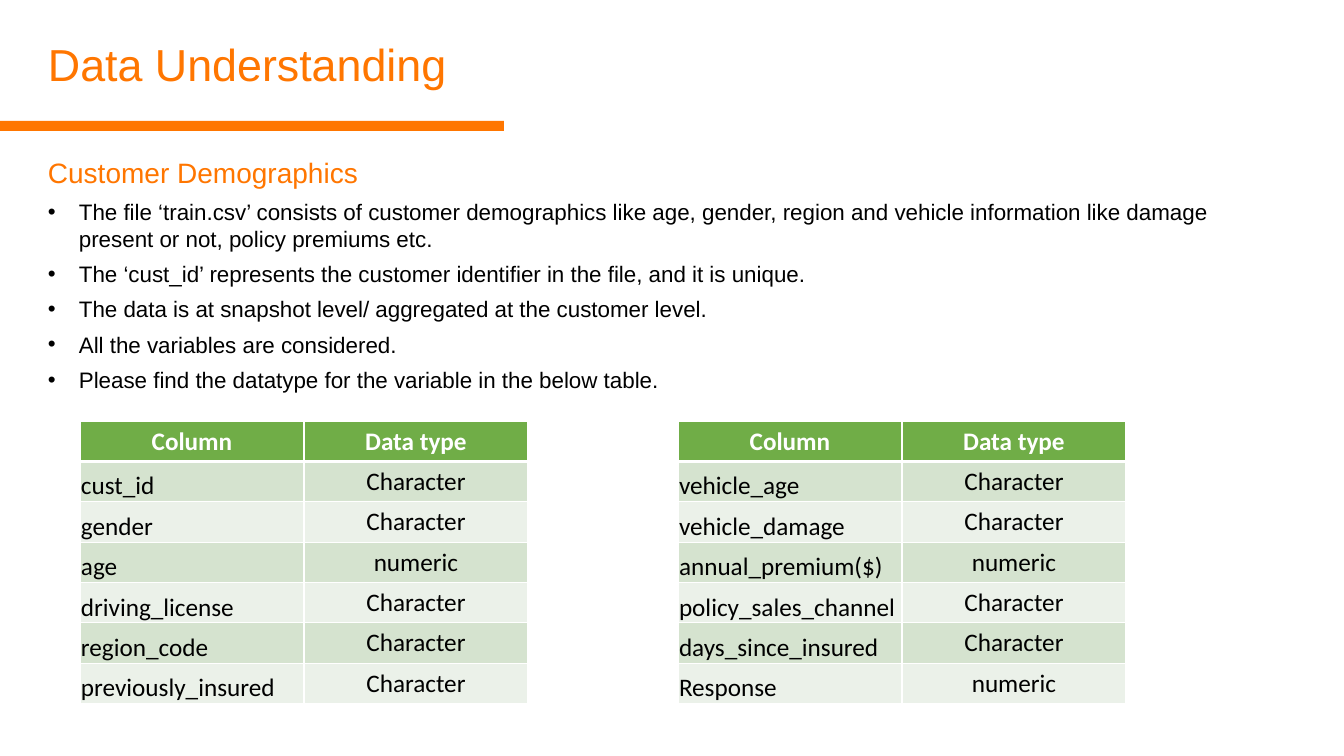
import pptx
import pptx.dml.color
import pptx.enum.shapes
import pptx.enum.text
import pptx.oxml.ns
import pptx.util
from dataclasses import dataclass
from lxml import etree

TITLE = "Data Understanding"
HEADING = "Customer Demographics"
BULLETS = [
    "The file ‘train.csv’ consists of customer demographics like age, gender, region "
    "and vehicle information like damage present or not, policy premiums etc.",
    "The ‘cust_id’ represents the customer identifier in the file, and it is unique.",
    "The data is at snapshot level/ aggregated at the customer level.",
    "All the variables are considered.",
    "Please find the datatype for the variable in the below table.",
]
HEADER = ("Column", "Data type")
VARIABLE_TABLES = [
    [
        ("cust_id", "Character"),
        ("gender", "Character"),
        ("age", "numeric"),
        ("driving_license", "Character"),
        ("region_code", "Character"),
        ("previously_insured", "Character"),
    ],
    [
        ("vehicle_age", "Character"),
        ("vehicle_damage", "Character"),
        ("annual_premium($)", "numeric"),
        ("policy_sales_channel", "Character"),
        ("days_since_insured", "Character"),
        ("Response", "numeric"),
    ],
]

SLIDE_SIZE = (1344, 756)
TITLE_BOX = (38, 32, 590, 64)
ACCENT_BAR = (0, 121, 504, 10)
BODY_BOX = (38, 151, 1237, 249)
BULLET_INDENT = 31
TABLE_LEFT, TABLE_TOP, TABLE_PITCH = 80, 421, 598
COLUMN_WIDTH, ROW_HEIGHT = 224, 40
NAME_MARGIN = 1
EMU_PER_PX = 914400 / 100.8


@dataclass(frozen=True)
class Theme:
    accent: str = "FF7600"
    text: str = "000000"
    white: str = "FFFFFF"
    header_fill: str = "70AD47"
    row_fills: tuple = ("D5E3CF", "EBF1E9")
    text_font: str = "Arial"
    table_font: str = "Calibri"
    title_size: int = 32
    heading_size: int = 20
    bullet_size: int = 16
    table_size: int = 18
    paragraph_gap: int = 6
    border: int = 1
    header_border: int = 3


THEME = Theme()


def px(length):
    return pptx.util.Emu(round(length * EMU_PER_PX))


def color(value):
    return pptx.dml.color.RGBColor.from_string(value)


def add_element(parent, tag, **attributes):
    return etree.SubElement(parent, pptx.oxml.ns.qn(tag), **attributes)


def format_runs(paragraph, font, size, value, bold=False):
    for run in paragraph.runs:
        run.font.name = font
        run.font.size = pptx.util.Pt(size)
        run.font.color.rgb = color(value)
        run.font.bold = bold


def add_text_frame(slide, box):
    text_frame = slide.shapes.add_textbox(*map(px, box)).text_frame
    text_frame.word_wrap = True
    text_frame.auto_size = pptx.enum.text.MSO_AUTO_SIZE.SHAPE_TO_FIT_TEXT
    return text_frame


def add_bullet(paragraph):
    properties = paragraph._p.get_or_add_pPr()
    properties.set("marL", str(px(BULLET_INDENT)))
    properties.set("indent", str(-px(BULLET_INDENT)))
    add_element(properties, "a:buFont", typeface=THEME.text_font)
    add_element(properties, "a:buChar", char="•")


def add_title(slide):
    text_frame = add_text_frame(slide, TITLE_BOX)
    text_frame.text = TITLE
    format_runs(text_frame.paragraphs[0], THEME.text_font, THEME.title_size, THEME.accent)


def add_accent_bar(slide):
    bar = slide.shapes.add_shape(
        pptx.enum.shapes.MSO_SHAPE.RECTANGLE, *map(px, ACCENT_BAR)
    )
    bar.shadow.inherit = False
    bar.fill.solid()
    bar.fill.fore_color.rgb = color(THEME.accent)
    bar.line.fill.background()


def add_body(slide):
    text_frame = add_text_frame(slide, BODY_BOX)
    text_frame.text = "\n".join([HEADING, *BULLETS])
    heading, *bullets = text_frame.paragraphs
    for paragraph in text_frame.paragraphs:
        paragraph.space_after = pptx.util.Pt(THEME.paragraph_gap)
    format_runs(heading, THEME.text_font, THEME.heading_size, THEME.accent)
    for paragraph in bullets:
        add_bullet(paragraph)
        format_runs(paragraph, THEME.text_font, THEME.bullet_size, THEME.text)


def set_borders(cell, top, bottom):
    properties = cell._tc.get_or_add_tcPr()
    widths = {"a:lnL": THEME.border, "a:lnR": THEME.border, "a:lnT": top, "a:lnB": bottom}
    for tag, width in widths.items():
        line = add_element(properties, tag, w=str(pptx.util.Pt(width)))
        add_element(add_element(line, "a:solidFill"), "a:srgbClr", val=THEME.white)


def format_cell(cell, row, column):
    is_header = row == 0
    set_borders(
        cell,
        top=THEME.header_border if row == 1 else THEME.border,
        bottom=THEME.header_border if is_header else THEME.border,
    )
    cell.fill.solid()
    fill = THEME.header_fill if is_header else THEME.row_fills[(row - 1) % 2]
    cell.fill.fore_color.rgb = color(fill)
    paragraph = cell.text_frame.paragraphs[0]
    if is_header or column == 1:
        paragraph.alignment = pptx.enum.text.PP_ALIGN.CENTER
    else:
        cell.vertical_anchor = pptx.enum.text.MSO_ANCHOR.BOTTOM
        cell.margin_left = cell.margin_right = cell.margin_top = px(NAME_MARGIN)
        cell.margin_bottom = 0
    text_color = THEME.white if is_header else THEME.text
    format_runs(paragraph, THEME.table_font, THEME.table_size, text_color, is_header)


def add_variable_table(slide, left, variables):
    rows = [HEADER, *variables]
    box = (left, TABLE_TOP, COLUMN_WIDTH * len(HEADER), ROW_HEIGHT * len(rows))
    table = slide.shapes.add_table(len(rows), len(HEADER), *map(px, box)).table
    for row, values in enumerate(rows):
        for column, value in enumerate(values):
            cell = table.cell(row, column)
            cell.text_frame.text = value
            format_cell(cell, row, column)


def main():
    presentation = pptx.Presentation()
    presentation.slide_width, presentation.slide_height = map(px, SLIDE_SIZE)
    slide = presentation.slides.add_slide(presentation.slide_layouts[6])
    add_title(slide)
    add_accent_bar(slide)
    add_body(slide)
    for index, variables in enumerate(VARIABLE_TABLES):
        add_variable_table(slide, TABLE_LEFT + index * TABLE_PITCH, variables)
    presentation.save("out.pptx")


if __name__ == "__main__":
    main()
